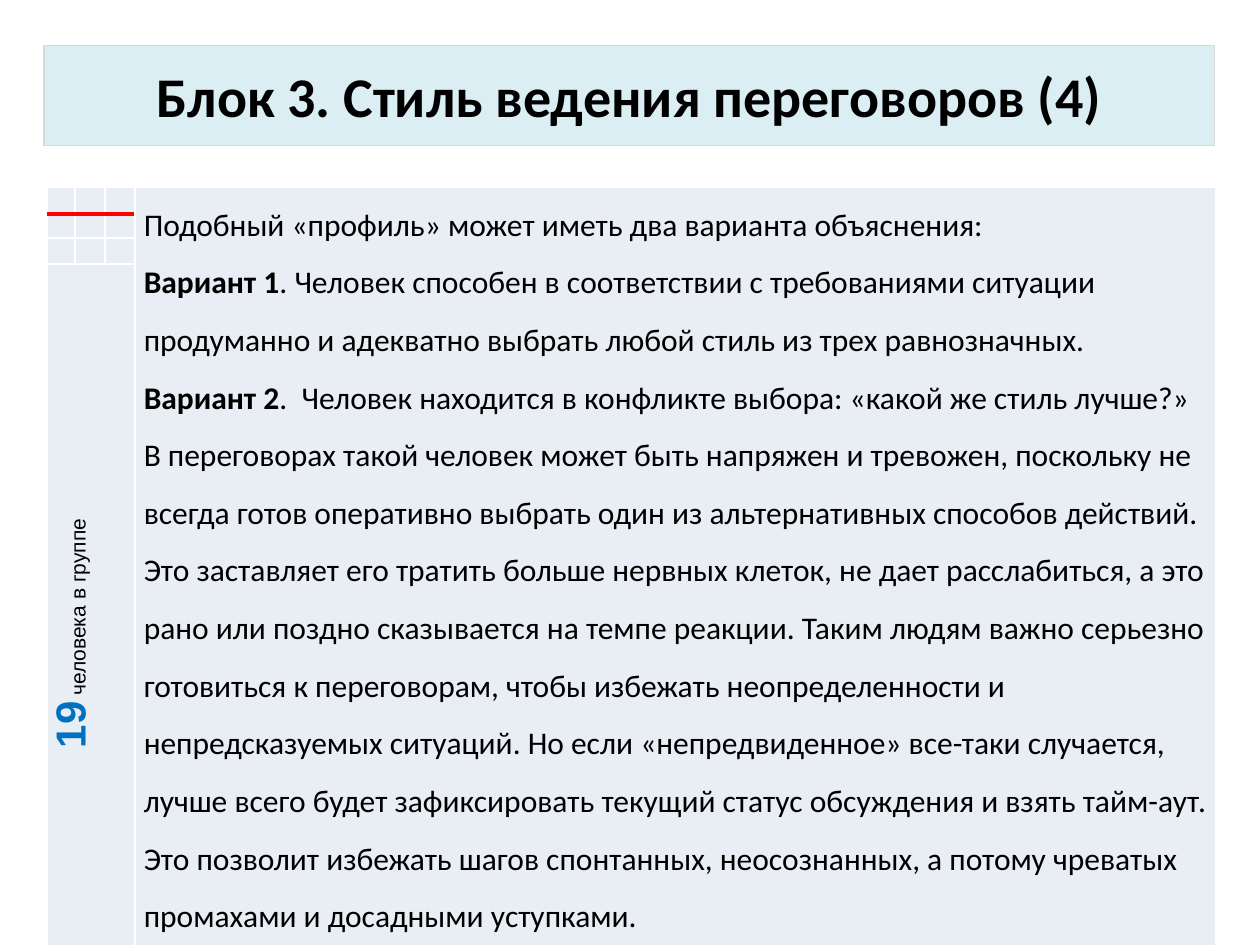
from lxml import etree
from pptx import Presentation
from pptx.dml.color import RGBColor
from pptx.enum.shapes import MSO_CONNECTOR, MSO_SHAPE
from pptx.enum.text import MSO_ANCHOR, PP_ALIGN
from pptx.oxml.ns import qn
from pptx.util import Pt

RECTANGLE = MSO_SHAPE.RECTANGLE
STRAIGHT = MSO_CONNECTOR.STRAIGHT
MIDDLE = MSO_ANCHOR.MIDDLE
CENTER = PP_ALIGN.CENTER

COLORS = {
    "title_fill": "DBEEF4",
    "title_line": "D9D9D9",
    "cell": "E9EDF4",
    "border": "FFFFFF",
    "text": "000000",
    "number": "0070C0",
    "rule": "FF0000",
}

TITLE = {"name": "Calibri", "size": Pt(32), "bold": True}
BODY = {"name": "Calibri", "size": Pt(18), "bold": False}
STRONG = {**BODY, "bold": True}
NUMBER = {"name": "Arial", "size": Pt(24), "bold": True}
LABEL = {"name": "Arial", "size": Pt(12), "bold": False}

COLUMN_WIDTHS = [15.6, 17.2, 17.2, 617.8]
ROW_HEIGHTS = [11.5, 11.5, 11.5, 134]

EXPLANATION = [
    [("Подобный «профиль» может иметь два варианта объяснения:", BODY)],
    [
        ("Вариант 1", STRONG),
        (". Человек способен в соответствии с требованиями ситуации "
         "продуманно и адекватно выбрать любой стиль из трех равнозначных.", BODY),
    ],
    [
        ("Вариант 2", STRONG),
        (".  Человек находится в конфликте выбора: «какой же стиль лучше?» "
         "В переговорах такой человек может быть напряжен и тревожен, "
         "поскольку не всегда готов оперативно выбрать один из альтернативных "
         "способов действий. Это заставляет его тратить больше нервных клеток, "
         "не дает расслабиться, а это рано или поздно сказывается на темпе "
         "реакции. Таким людям важно серьезно готовиться к переговорам, чтобы "
         "избежать неопределенности и непредсказуемых ситуаций. Но если "
         "«непредвиденное» все-таки случается, лучше всего будет зафиксировать "
         "текущий статус обсуждения и взять тайм-аут. Это позволит избежать "
         "шагов спонтанных, неосознанных, а потому чреватых промахами и "
         "досадными уступками.", BODY),
    ],
]


def color(name):
    return RGBColor.from_string(COLORS[name])


def add_span(para, text, style, color_name="text"):
    span = para.add_run()
    span.text = text
    for attribute, value in style.items():
        setattr(span.font, attribute, value)
    span.font.color.rgb = color(color_name)


def add_title(page, text):
    box = page.shapes.add_shape(RECTANGLE, Pt(25.2), Pt(26), Pt(669), Pt(57))
    box.shadow.inherit = False
    box.fill.solid()
    box.fill.fore_color.rgb = color("title_fill")
    box.line.color.rgb = color("title_line")
    box.line.width = Pt(0.75)
    frame = box.text_frame
    frame.word_wrap = True
    frame.vertical_anchor = MIDDLE
    para = frame.paragraphs[0]
    para.alignment = CENTER
    add_span(para, text, TITLE)


def format_cell(cell):
    margins = {"margin_left": Pt(5), "margin_right": Pt(5),
               "margin_top": 0, "margin_bottom": 0}
    for attribute, value in margins.items():
        setattr(cell, attribute, value)
    # Borders come before the fill in the cell properties
    properties = cell._tc.get_or_add_tcPr()
    for side in ("a:lnL", "a:lnR", "a:lnT", "a:lnB"):
        line = etree.SubElement(properties, qn(side), w=str(Pt(1)))
        fill = etree.SubElement(line, qn("a:solidFill"))
        etree.SubElement(fill, qn("a:srgbClr"), val=COLORS["border"])
    cell.fill.solid()
    cell.fill.fore_color.rgb = color("cell")
    # The size of an empty line sets the least row height
    para = cell.text_frame.paragraphs[0]
    etree.SubElement(para._p, qn("a:endParaRPr"), sz="1200")


def add_grid(page):
    frame = page.shapes.add_table(len(ROW_HEIGHTS), len(COLUMN_WIDTHS),
                                  Pt(27.2), Pt(106.8), Pt(667.8), Pt(421))
    table = frame.table
    table.first_row = False
    table.horz_banding = False
    for column, width in zip(table.columns, COLUMN_WIDTHS):
        column.width = Pt(width)
    for row, height in zip(table.rows, ROW_HEIGHTS):
        row.height = Pt(height)
    for cell in table.iter_cells():
        format_cell(cell)
    table.cell(0, 3).merge(table.cell(3, 3))
    table.cell(3, 0).merge(table.cell(3, 2))
    return table


def fill_explanation(cell):
    frame = cell.text_frame
    for index, spans in enumerate(EXPLANATION):
        para = frame.add_paragraph() if index else frame.paragraphs[0]
        para.line_spacing = 1.5
        for text, style in spans:
            add_span(para, text, style)


def fill_group_size(cell):
    cell._tc.get_or_add_tcPr().set("vert", "vert270")
    para = cell.text_frame.paragraphs[0]
    para.alignment = CENTER
    para._p.get_or_add_pPr().set("marL", str(Pt(5.7)))
    add_span(para, "19", NUMBER, "number")
    add_span(para, " человека в группе", LABEL)


def add_rule(page):
    rule = page.shapes.add_connector(STRAIGHT, Pt(27), Pt(122.4), Pt(76.5), Pt(122.4))
    rule.line.color.rgb = color("rule")
    rule.line.width = Pt(2.25)
    etree.SubElement(rule._element.spPr, qn("a:effectLst"))


def main():
    deck = Presentation()
    deck.slide_width, deck.slide_height = Pt(720), Pt(540)
    page = deck.slides.add_slide(deck.slide_layouts[6])

    # Heading
    add_title(page, "Блок 3. Стиль ведения переговоров (4)")

    # Profile table
    table = add_grid(page)
    fill_explanation(table.cell(0, 3))
    fill_group_size(table.cell(3, 0))

    # Red mark across the small cells
    add_rule(page)

    deck.save("out.pptx")


if __name__ == "__main__":
    main()
